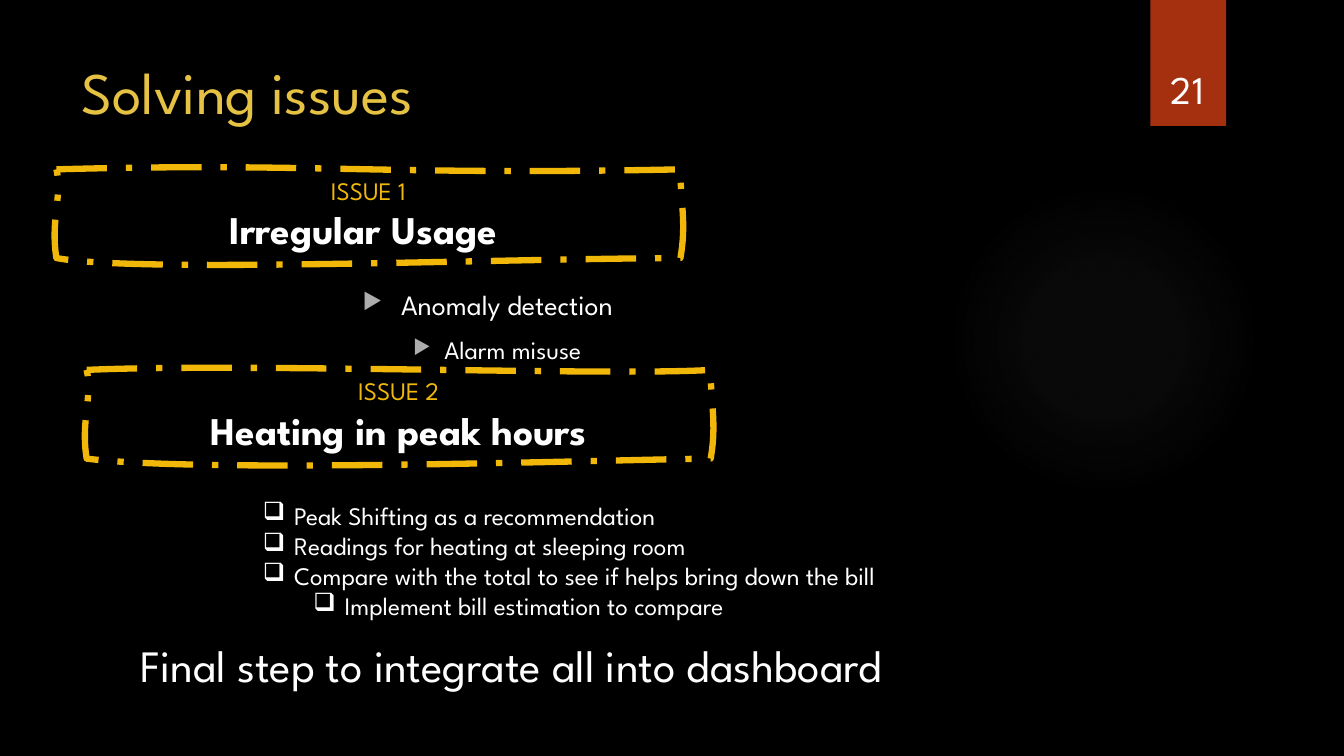
from lxml import etree
from pptx import Presentation, util as u
from pptx.dml.color import RGBColor
from pptx.enum import dml, shapes, text
from pptx.oxml import ns

BLACK = RGBColor(0x00, 0x00, 0x00)
WHITE = RGBColor(0xFF, 0xFF, 0xFF)
GREY = RGBColor(0xAD, 0xAD, 0xAD)
GLOW = RGBColor(0x84, 0x84, 0x84)
RUST = RGBColor(0xA5, 0x30, 0x0F)
GOLD = RGBColor(0xE5, 0xC2, 0x43)
AMBER = RGBColor(0xF1, 0xB8, 0x09)
FONT = "League Spartan"
BULLET_FONT = "OpenSymbol"
WIDTH, HEIGHT = u.Inches(13.33), u.Inches(7.5)
FRAME_W, FRAME_H = 46.43, 11.73


def x(percent):
    return round(WIDTH * percent / 100)


def y(percent):
    return round(HEIGHT * percent / 100)


def box(left, top, width, height):
    return x(left), y(top), x(width), y(height)


def add(parent, tag, **attributes):
    return etree.SubElement(parent, ns.qn(tag), attributes)


def style(p, size, color, bold=False):
    p.font.name = FONT
    p.font.size = u.Pt(size)
    p.font.color.rgb = color
    p.font.bold = bold


def bullet(p, char, margin, hang, color=None, percent=100):
    pPr = p._p.get_or_add_pPr()
    pPr.set("marL", str(u.Inches(margin)))
    pPr.set("indent", str(-u.Inches(hang)))
    if color is not None:
        add(add(pPr, "a:buClr"), "a:srgbClr", val=str(color))
    add(pPr, "a:buSzPct", val=str(percent * 1000))
    add(pPr, "a:buFont", typeface=BULLET_FONT)
    add(pPr, "a:buChar", char=char)


def add_paragraph(tf, index, words):
    p = tf.add_paragraph() if index else tf.paragraphs[0]
    p.text = words
    return p


def add_textbox(s, area, anchor=text.MSO_ANCHOR.TOP):
    tf = s.shapes.add_textbox(*box(*area)).text_frame
    tf.word_wrap = True
    tf.vertical_anchor = anchor
    return tf


def add_label(s, area, words, size, color, align=text.PP_ALIGN.LEFT,
              anchor=text.MSO_ANCHOR.TOP):
    p = add_paragraph(add_textbox(s, area, anchor), 0, words)
    p.alignment = align
    style(p, size, color)


def add_bullets(s, area, items, char, hangs, sizes, space=0, color=None, percent=100):
    tf = add_textbox(s, area)
    margins = (hangs[0], 0.81)
    for i, (level, words) in enumerate(items):
        p = add_paragraph(tf, i, words)
        p.level = level
        p.space_before = u.Pt(space)
        bullet(p, char, margins[level], hangs[level], color, percent)
        style(p, sizes[level], WHITE)


def add_plain_shape(s, kind, area):
    sp = s.shapes.add_shape(kind, *box(*area))
    sp.shadow.inherit = False
    sp.line.fill.background()
    return sp


def add_glow(s, area):
    sp = add_plain_shape(s, shapes.MSO_SHAPE.OVAL, area)
    fill = etree.Element(ns.qn("a:gradFill"), rotWithShape="1")
    stops = add(fill, "a:gsLst")
    for position, alpha in ((0, 7), (36, 6), (69, 0)):
        stop = add(stops, "a:gs", pos=str(position * 1000))
        add(add(stop, "a:srgbClr", val=str(GLOW)), "a:alpha", val=str(alpha * 1000))
    circle = add(fill, "a:path", path="circle")
    add(circle, "a:fillToRect", l="50000", t="50000", r="50000", b="50000")
    sp._element.spPr.find(ns.qn("a:prstGeom")).addnext(fill)


def bend_sides(sp, bends):
    sides = list(sp._element.iter(ns.qn("a:lnTo")))
    for side, bend in zip(sides, bends):
        side.tag = ns.qn("a:cubicBezTo")
        for i, (px, py) in enumerate(bend):
            point = etree.Element(ns.qn("a:pt"), x=str(x(px * FRAME_W)),
                                  y=str(y(py * FRAME_H)))
            side.insert(i, point)


def add_issue(s, left, top, top_bends, bottom_bends, label, heading):
    right, bottom = left + FRAME_W, top + FRAME_H
    corners = (right, top), (right, bottom), (left, bottom), (left, top)
    builder = s.shapes.build_freeform(x(left), y(top))
    builder.add_line_segments([(x(px), y(py)) for px, py in corners], close=True)
    sp = builder.convert_to_shape()
    bend_sides(sp, (
        ((top_bends[0], -0.08), (top_bends[1], 0.07)),
        ((1, 0.38), (1.01, 0.6)),
        ((bottom_bends[0], 1.01), (bottom_bends[1], 1.17)),
        ((-0.01, 0.57), (0.01, 0.3)),
    ))
    sp.shadow.inherit = False
    sp.fill.background()
    sp.line.color.rgb = AMBER
    sp.line.width = u.Pt(4.5)
    sp.line.dash_style = dml.MSO_LINE.LONG_DASH_DOT
    tf = sp.text_frame
    tf.word_wrap = True
    tf.vertical_anchor = text.MSO_ANCHOR.MIDDLE
    lines = (label, 18, AMBER, False), (heading, 28, WHITE, True)
    for i, (words, *look) in enumerate(lines):
        p = add_paragraph(tf, i, words)
        p.alignment = text.PP_ALIGN.CENTER
        style(p, *look)


def main():
    prs = Presentation()
    prs.slide_width, prs.slide_height = WIDTH, HEIGHT
    s = prs.slides.add_slide(prs.slide_layouts[6])
    s.background.fill.solid()
    s.background.fill.fore_color.rgb = BLACK

    add_glow(s, (70.58, 24.4, 23.1, 41.07))
    tab = add_plain_shape(s, shapes.MSO_SHAPE.RECTANGLE, (85.6, 0, 5.63, 16.67))
    tab.fill.solid()
    tab.fill.fore_color.rgb = RUST

    add_label(s, (5.33, 6.67, 77.18, 20.4), "Solving issues", 42, GOLD)
    add_bullets(s, (26.25, 37.33, 59.7, 11.73),
                ((0, "Anomaly detection"), (1, "Alarm misuse")),
                "▶", (0.38, 0.31), (20, 18), space=10, color=GREY, percent=80)
    add_label(s, (84.9, 4.27, 6.9, 11.2), "21", 28, WHITE,
              text.PP_ALIGN.CENTER, text.MSO_ANCHOR.BOTTOM)
    add_issue(s, 4.2, 22.4, (0.41, 0.52), (0.69, 0.13), "ISSUE 1", "Irregular Usage ")
    add_issue(s, 6.45, 48.93, (0.25, 0.84), (0.85, 0.19), "ISSUE 2", "Heating in peak hours")
    add_bullets(s, (18.83, 65.47, 58.65, 17.47),
                ((0, "Peak Shifting as a recommendation"),
                 (0, "Readings for heating at sleeping room"),
                 (0, "Compare with the total to see if helps bring down the bill"),
                 (1, "Implement bill estimation to compare")),
                "❑", (0.31, 0.31), (18, 18))
    add_label(s, (9.7, 83.73, 74.18, 8.53),
              "Final step to integrate all into dashboard", 32, WHITE)
    prs.save("out.pptx")


if __name__ == "__main__":
    main()
